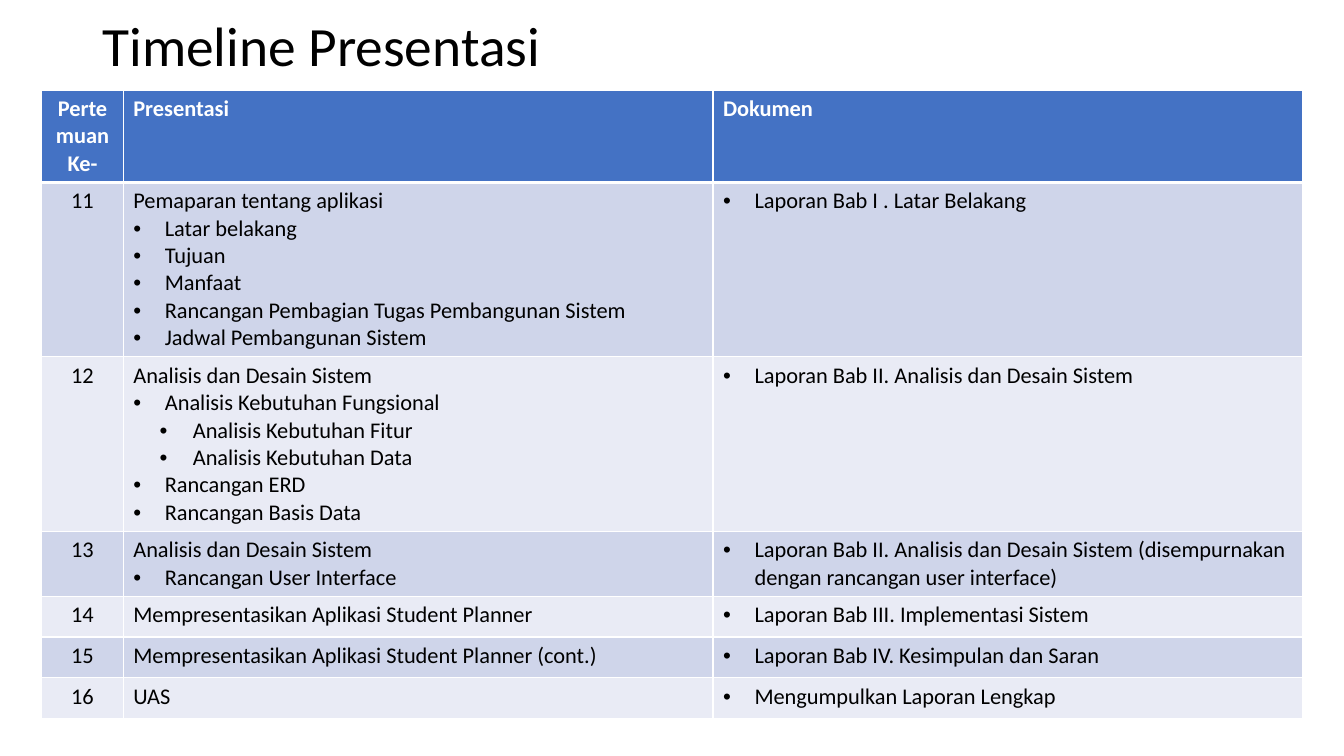
from dataclasses import dataclass
from lxml.etree import SubElement
from pptx import Presentation
from pptx.dml.color import RGBColor
from pptx.enum.text import MSO_ANCHOR, MSO_AUTO_SIZE, PP_ALIGN
from pptx.oxml.ns import qn
from pptx.util import Pt

WHITE = RGBColor(0xFF, 0xFF, 0xFF)
BLACK = RGBColor(0, 0, 0)
BLUE = RGBColor(0x44, 0x72, 0xC4)
DARK = RGBColor(0xCF, 0xD5, 0xEA)
LIGHT = RGBColor(0xE9, 0xEB, 0xF5)

INDENTS = {1: (22.5, -22.5), 2: (42.5, -23.75)}


@dataclass(frozen=True)
class Line:
    text: str
    level: int = 0


@dataclass(frozen=True)
class Meeting:
    number: str
    talk: list[Line]
    paper: str


MEETINGS = [
    Meeting("11", [
        Line("Pemaparan tentang aplikasi"),
        Line("Latar belakang", 1),
        Line("Tujuan", 1),
        Line("Manfaat", 1),
        Line("Rancangan Pembagian Tugas Pembangunan Sistem", 1),
        Line("Jadwal Pembangunan Sistem", 1),
    ], "Laporan Bab I . Latar Belakang"),
    Meeting("12", [
        Line("Analisis dan Desain Sistem"),
        Line("Analisis Kebutuhan Fungsional", 1),
        Line("Analisis Kebutuhan Fitur", 2),
        Line("Analisis Kebutuhan Data", 2),
        Line("Rancangan ERD", 1),
        Line("Rancangan Basis Data", 1),
    ], "Laporan Bab II. Analisis dan Desain Sistem"),
    Meeting("13", [
        Line("Analisis dan Desain Sistem"),
        Line("Rancangan User Interface", 1),
    ], "Laporan Bab II. Analisis dan Desain Sistem (disempurnakan dengan rancangan user interface)"),
    Meeting("14", [Line("Mempresentasikan Aplikasi Student Planner")],
            "Laporan Bab III. Implementasi Sistem"),
    Meeting("15", [Line("Mempresentasikan Aplikasi Student Planner (cont.)")],
            "Laporan Bab IV. Kesimpulan dan Saran"),
    Meeting("16", [Line("UAS")], "Mengumpulkan Laporan Lengkap"),
]


def write(para, text: str, *, size: float = 16, color: RGBColor = BLACK,
          bold: bool = False, align: PP_ALIGN = PP_ALIGN.LEFT, level: int = 0) -> None:
    para.alignment = align
    run = para.add_run()
    run.text = text
    font = run.font
    font.name, font.size, font.bold = "Calibri", Pt(size), bold
    font.color.rgb = color
    if level:
        left, first = INDENTS[level]
        props = para._p.get_or_add_pPr()
        props.set("marL", str(Pt(left)))
        props.set("indent", str(Pt(first)))
        SubElement(props, qn("a:buFont")).set("typeface", "Arial")
        SubElement(props, qn("a:buChar")).set("char", "•")


def border(cell, side: str, width: float) -> None:
    edge = SubElement(cell._tc.get_or_add_tcPr(), qn(f"a:ln{side}"), w=str(Pt(width)))
    fill = SubElement(edge, qn("a:solidFill"))
    SubElement(fill, qn("a:srgbClr")).set("val", str(WHITE))


def draw_cell(cell, lines: list[Line], fill: RGBColor, *, head: bool, center: bool) -> None:
    for side in "LRTB":
        thick = head and side == "B"
        border(cell, side, 3 if thick else 1)
    cell.fill.solid()
    cell.fill.fore_color.rgb = fill
    frame = cell.text_frame
    for i, line in enumerate(lines):
        para = frame.add_paragraph() if i else frame.paragraphs[0]
        write(para, line.text, color=WHITE if head else BLACK, bold=head,
              align=PP_ALIGN.CENTER if center else PP_ALIGN.LEFT, level=line.level)


def draw_title(slide) -> None:
    title = slide.shapes.title
    title.left, title.top, title.width, title.height = Pt(66), Pt(16.5), Pt(828), Pt(36)
    frame = title.text_frame
    frame.auto_size = MSO_AUTO_SIZE.NONE
    frame.vertical_anchor = MSO_ANCHOR.MIDDLE
    para = frame.paragraphs[0]
    para.line_spacing = 0.9
    write(para, "Timeline Presentasi", size=39.6)


def draw_table(slide) -> None:
    rows = [[[Line("Pertemuan Ke-")], [Line("Presentasi")], [Line("Dokumen")]]]
    rows += [[[Line(m.number)], m.talk, [Line(m.paper, 1)]] for m in MEETINGS]
    frame = slide.shapes.add_table(len(rows), 3, Pt(29.8), Pt(64.4), Pt(900.7), Pt(442.8))
    table = frame.table
    for col, width in zip(table.columns, (58.3, 421.2, 421.2)):
        col.width = Pt(width)
    for r, row in enumerate(rows):
        table.rows[r].height = Pt(29.2)
        fill = BLUE if r == 0 else DARK if r % 2 else LIGHT
        for c, lines in enumerate(row):
            draw_cell(table.cell(r, c), lines, fill, head=r == 0, center=c == 0)
    frame.height = Pt(442.8)


def main() -> None:
    deck = Presentation()
    deck.slide_width, deck.slide_height = Pt(960), Pt(540)
    slide = deck.slides.add_slide(deck.slide_layouts[5])
    draw_title(slide)
    draw_table(slide)
    deck.save("out.pptx")


if __name__ == "__main__":
    main()
